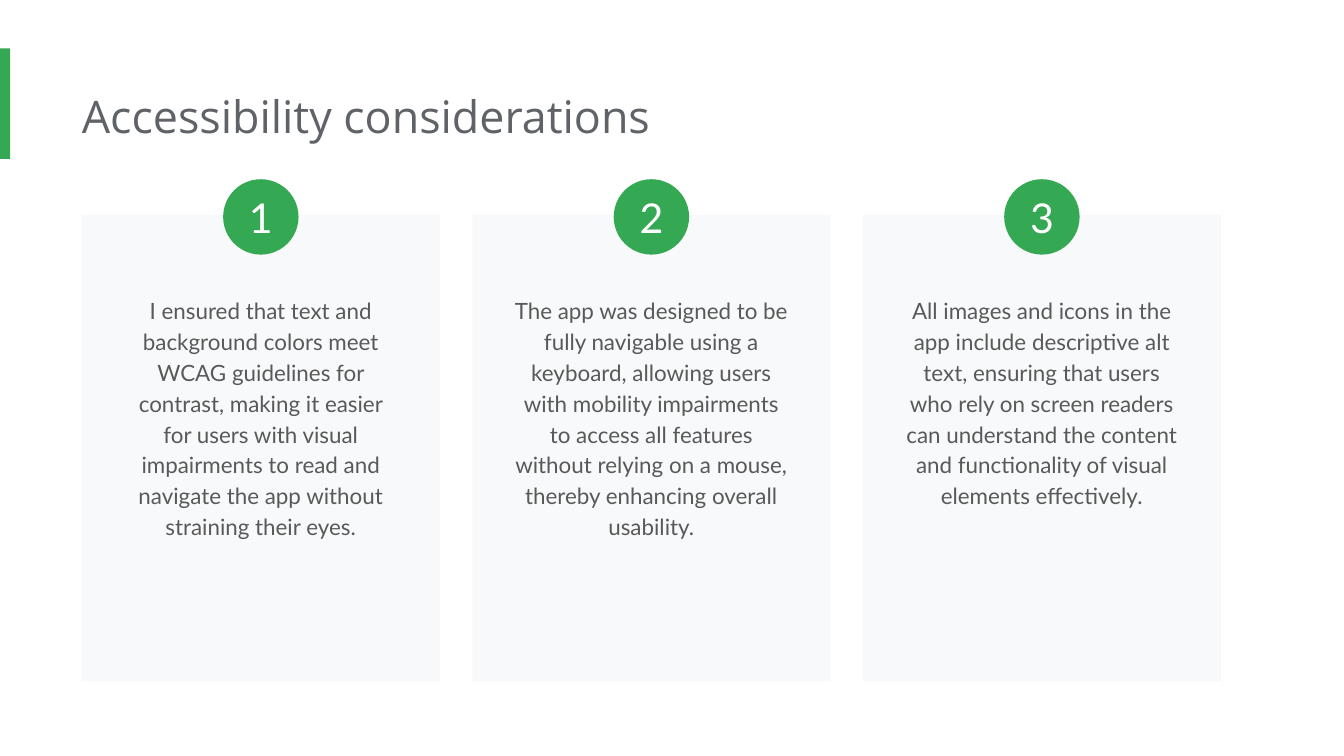
from dataclasses import dataclass

import pptx
import pptx.dml.color
import pptx.enum.shapes
import pptx.enum.text
import pptx.util

Pt = pptx.util.Pt
RGBColor = pptx.dml.color.RGBColor
Preset = pptx.enum.shapes.MSO_SHAPE
Align = pptx.enum.text.PP_ALIGN
Anchor = pptx.enum.text.MSO_ANCHOR

GREEN = RGBColor(0x34, 0xA8, 0x53)
CARD_GREY = RGBColor(0xF8, 0xF9, 0xFA)
TITLE_GREY = RGBColor(0x5F, 0x63, 0x68)
BODY_GREY = RGBColor(0x59, 0x59, 0x59)
WHITE = RGBColor(0xFF, 0xFF, 0xFF)

CARD_LEFT, CARD_TOP, CARD_WIDTH, CARD_HEIGHT = 43.9, 115.2, 191.7, 249.8
CARD_PITCH = 209.2
BODY_TOP, BODY_WIDTH, BODY_HEIGHT = 149.8, 161.3, 146.2
BADGE_TOP, BADGE_SIZE = 96, 40.4

CONSIDERATIONS = (
    "I ensured that text and background colors meet WCAG guidelines for contrast, "
    "making it easier for users with visual impairments to read and navigate the app "
    "without straining their eyes.",
    "The app was designed to be fully navigable using a keyboard, allowing users with "
    "mobility impairments to access all features without relying on a mouse, thereby "
    "enhancing overall usability.",
    "All images and icons in the app include descriptive alt text, ensuring that users "
    "who rely on screen readers can understand the content and functionality of visual "
    "elements effectively.",
)


@dataclass(frozen=True)
class Box:
    """A rectangle on the slide, in points."""

    left: float
    top: float
    width: float
    height: float

    def lengths(self) -> tuple:
        """Return the four lengths as python-pptx values."""
        return tuple(Pt(v) for v in (self.left, self.top, self.width, self.height))


@dataclass(frozen=True)
class TextStyle:
    """The look of a one-paragraph text."""

    font: str
    size: float
    color: RGBColor
    align: Align = Align.CENTER
    anchor: Anchor = Anchor.TOP
    line_spacing: float = 1.0
    side_margins: tuple = (7.2, 7.2)
    end_margin: float = 7.2


TITLE = TextStyle("Open Sans", 24, TITLE_GREY, Align.LEFT, side_margins=(0, 7.2))
BODY = TextStyle("Lato", 12, BODY_GREY, line_spacing=1.15)
NUMBER = TextStyle("Lato", 22, WHITE, anchor=Anchor.MIDDLE, side_margins=(0, 0), end_margin=0)


def set_values(target: object, values: dict) -> None:
    """Set every named attribute on the target."""
    for name, value in values.items():
        setattr(target, name, value)


def write(frame, text: str, style: TextStyle) -> None:
    """Write styled text into a text frame."""
    left, right = style.side_margins
    set_values(frame, {
        "word_wrap": True, "vertical_anchor": style.anchor,
        "margin_left": Pt(left), "margin_right": Pt(right),
        "margin_top": Pt(style.end_margin), "margin_bottom": Pt(style.end_margin),
    })
    paragraph = frame.paragraphs[0]
    set_values(paragraph, {"alignment": style.align, "line_spacing": style.line_spacing})
    run = paragraph.add_run()
    run.text = text
    set_values(run.font, {"name": style.font, "size": Pt(style.size)})
    run.font.color.rgb = style.color


def add_text(slide, box: Box, text: str, style: TextStyle) -> None:
    """Add a text box."""
    write(slide.shapes.add_textbox(*box.lengths()).text_frame, text, style)


def add_filled(slide, preset: Preset, box: Box, color: RGBColor):
    """Add a filled shape without outline or shadow."""
    shape = slide.shapes.add_shape(preset, *box.lengths())
    shape.shadow.inherit = False
    shape.fill.solid()
    shape.fill.fore_color.rgb = color
    shape.line.fill.background()
    return shape


def main() -> None:
    """Build the accessibility slide."""
    deck = pptx.Presentation()
    set_values(deck, {"slide_width": Pt(720), "slide_height": Pt(405)})
    slide = deck.slides.add_slide(deck.slide_layouts[6])

    add_filled(slide, Preset.RECTANGLE, Box(0, 26, 5.5, 59.2), GREEN)
    add_text(slide, Box(CARD_LEFT, 40.3, 551.5, 43.9), "Accessibility considerations", TITLE)

    card_lefts = [CARD_LEFT + i * CARD_PITCH for i in range(len(CONSIDERATIONS))]
    for left, consideration in zip(card_lefts, CONSIDERATIONS):
        add_filled(slide, Preset.RECTANGLE, Box(left, CARD_TOP, CARD_WIDTH, CARD_HEIGHT), CARD_GREY)
        body_left = left + (CARD_WIDTH - BODY_WIDTH) / 2
        add_text(slide, Box(body_left, BODY_TOP, BODY_WIDTH, BODY_HEIGHT), consideration, BODY)

    for number, left in enumerate(card_lefts, start=1):
        badge_left = left + (CARD_WIDTH - BADGE_SIZE) / 2
        badge_box = Box(badge_left, BADGE_TOP, BADGE_SIZE, BADGE_SIZE)
        badge = add_filled(slide, Preset.OVAL, badge_box, GREEN)
        write(badge.text_frame, str(number), NUMBER)

    deck.save("out.pptx")


if __name__ == "__main__":
    main()
